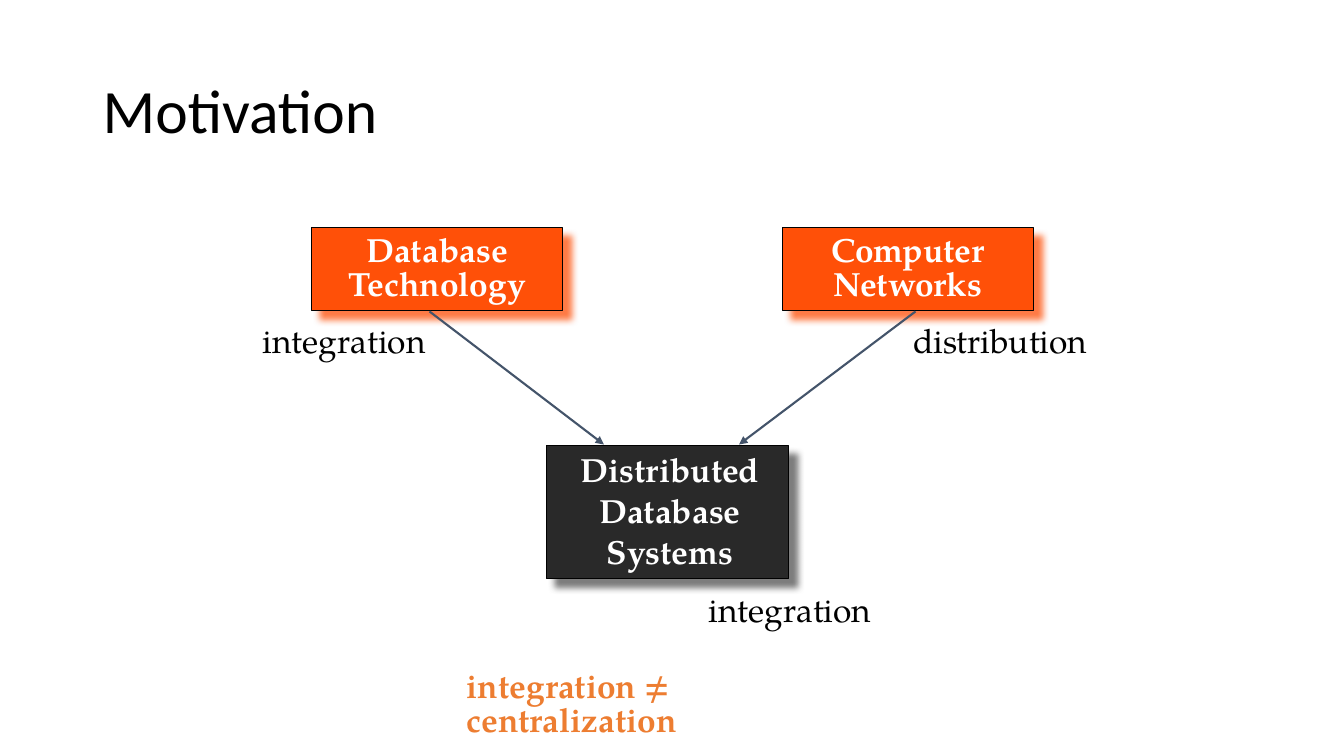
from dataclasses import dataclass

from lxml import etree
from pptx import Presentation
from pptx import util as u
from pptx.dml.color import RGBColor
from pptx.enum import shapes, text
from pptx.oxml import ns


@dataclass(frozen=True)
class Theme:
    title_font: str = "Calibri"
    body_font: str = "TeX Gyre Pagella"
    title_size: float = 44
    body_size: float = 23.9
    black: str = "000000"
    white: str = "FFFFFF"
    source: str = "FF5008"
    result: str = "292929"
    result_shadow: str = "525252"
    arrow: str = "44546A"
    accent: str = "ED7D31"


class Diagram:
    def __init__(self, slide, theme):
        self.slide = slide
        self.theme = theme

    def add_lines(self, box, lines, font, size, color, bold, align, spacing):
        frame = box.text_frame
        for index, line in enumerate(lines):
            paragraph = frame.add_paragraph() if index else frame.paragraphs[0]
            paragraph.alignment = align
            paragraph.line_spacing = spacing
            run = paragraph.add_run()
            run.text = line
            run.font.name = font
            run.font.size = u.Pt(size)
            run.font.bold = bold
            run.font.color.rgb = RGBColor.from_string(color)

    def title(self, words, *bounds):
        box = self.slide.shapes.add_textbox(*map(u.Inches, bounds))
        box.text_frame.word_wrap = True
        box.text_frame.vertical_anchor = text.MSO_ANCHOR.MIDDLE
        theme = self.theme
        self.add_lines(box, [words], theme.title_font, theme.title_size,
                       theme.black, False, text.PP_ALIGN.LEFT, 0.9)

    def label(self, lines, *bounds, color, bold=False,
              align=text.PP_ALIGN.CENTER, spacing=0.85):
        box = self.slide.shapes.add_textbox(*map(u.Inches, bounds))
        frame = box.text_frame
        frame.word_wrap = False
        frame.auto_size = text.MSO_AUTO_SIZE.SHAPE_TO_FIT_TEXT
        frame.margin_left = frame.margin_right = u.Inches(0.07)
        frame.margin_top = frame.margin_bottom = u.Inches(0.03)
        theme = self.theme
        self.add_lines(box, lines, theme.body_font, theme.body_size,
                       color, bold, align, spacing)

    def block(self, *bounds, fill, shadow):
        shape = self.slide.shapes.add_shape(
            shapes.MSO_SHAPE.RECTANGLE, *map(u.Inches, bounds))
        shape.fill.solid()
        shape.fill.fore_color.rgb = RGBColor.from_string(fill)
        shape.line.color.rgb = RGBColor.from_string(self.theme.black)
        shape.line.width = u.Pt(1)
        shape.shadow.inherit = False
        effects = shape.element.spPr.find(ns.qn("a:effectLst"))
        outer = etree.SubElement(
            effects, ns.qn("a:outerShdw"), blurRad=str(u.Pt(5)),
            dist=str(u.Pt(8.5)), dir="2700000", algn="ctr", rotWithShape="0")
        color = etree.SubElement(outer, ns.qn("a:srgbClr"), val=shadow)
        etree.SubElement(color, ns.qn("a:alpha"), val="75000")

    def arrow(self, *ends):
        connector = self.slide.shapes.add_connector(
            shapes.MSO_CONNECTOR.STRAIGHT, *map(u.Inches, ends))
        connector.line.color.rgb = RGBColor.from_string(self.theme.arrow)
        connector.line.width = u.Pt(1.5)
        properties = connector.element.spPr
        etree.SubElement(properties.find(ns.qn("a:ln")),
                         ns.qn("a:tailEnd"), type="triangle")
        etree.SubElement(properties, ns.qn("a:effectLst"))


def main():
    presentation = Presentation()
    presentation.slide_width = u.Inches(13.33)
    presentation.slide_height = u.Inches(7.5)
    slide = presentation.slides.add_slide(presentation.slide_layouts[6])
    theme = Theme()
    diagram = Diagram(slide, theme)

    diagram.title("Motivation", 0.92, 0.4, 11.5, 1.45)
    for left in (3.09, 7.76):
        diagram.block(left, 2.26, 2.49, 0.82,
                      fill=theme.source, shadow=theme.source)
    diagram.block(5.42, 4.42, 2.4, 1.32,
                  fill=theme.result, shadow=theme.result_shadow)
    for start, end in ((4.26, 5.99), (9.08, 7.33)):
        diagram.arrow(start, 3.09, end, 4.41)

    diagram.label(["Database", "Technology"], 3.36, 2.3, 1.95, 0.74,
                  color=theme.white, bold=True)
    diagram.label(["Computer", "Networks"], 8.16, 2.3, 1.69, 0.74,
                  color=theme.white, bold=True)
    for word, left, top, width in (("integration", 2.53, 3.21, 1.77),
                                   ("distribution", 8.97, 3.21, 1.9),
                                   ("integration", 6.95, 5.88, 1.77)):
        diagram.label([word], left, top, width, 0.4, color=theme.black)
    diagram.label(["integration ≠ centralization"], 4.56, 6.63, 4.3, 0.4,
                  color=theme.accent, bold=True, align=text.PP_ALIGN.LEFT)
    diagram.label(["Distributed", "Database", "Systems"],
                  5.68, 4.42, 1.93, 1.29,
                  color=theme.white, bold=True, spacing=1.02)

    presentation.save("out.pptx")


if __name__ == "__main__":
    main()
